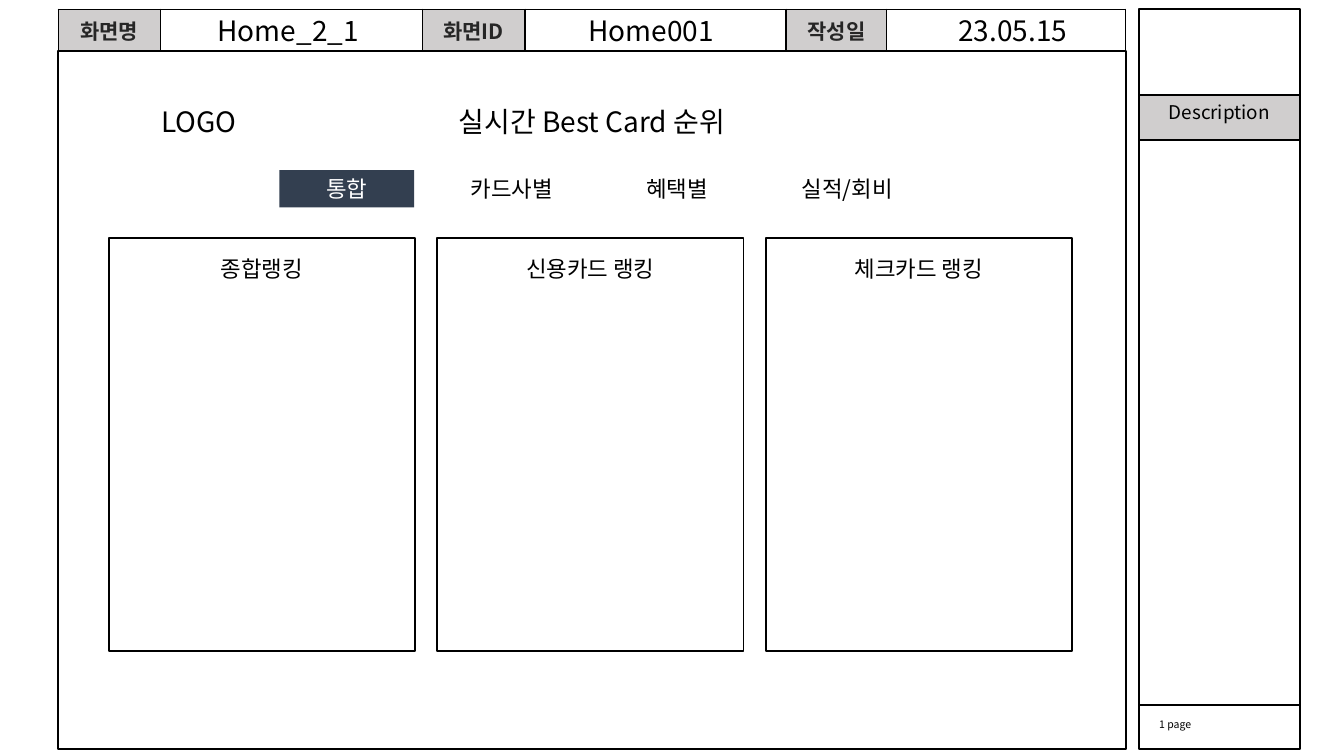
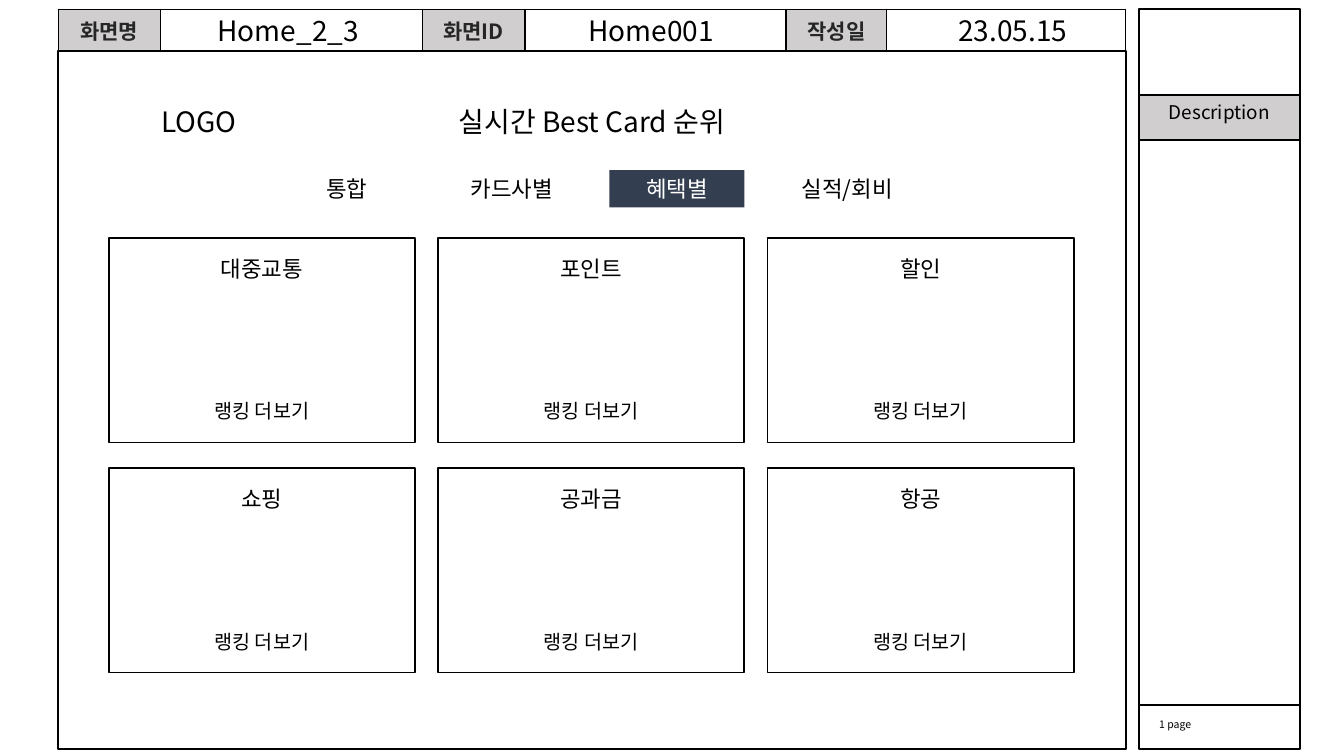
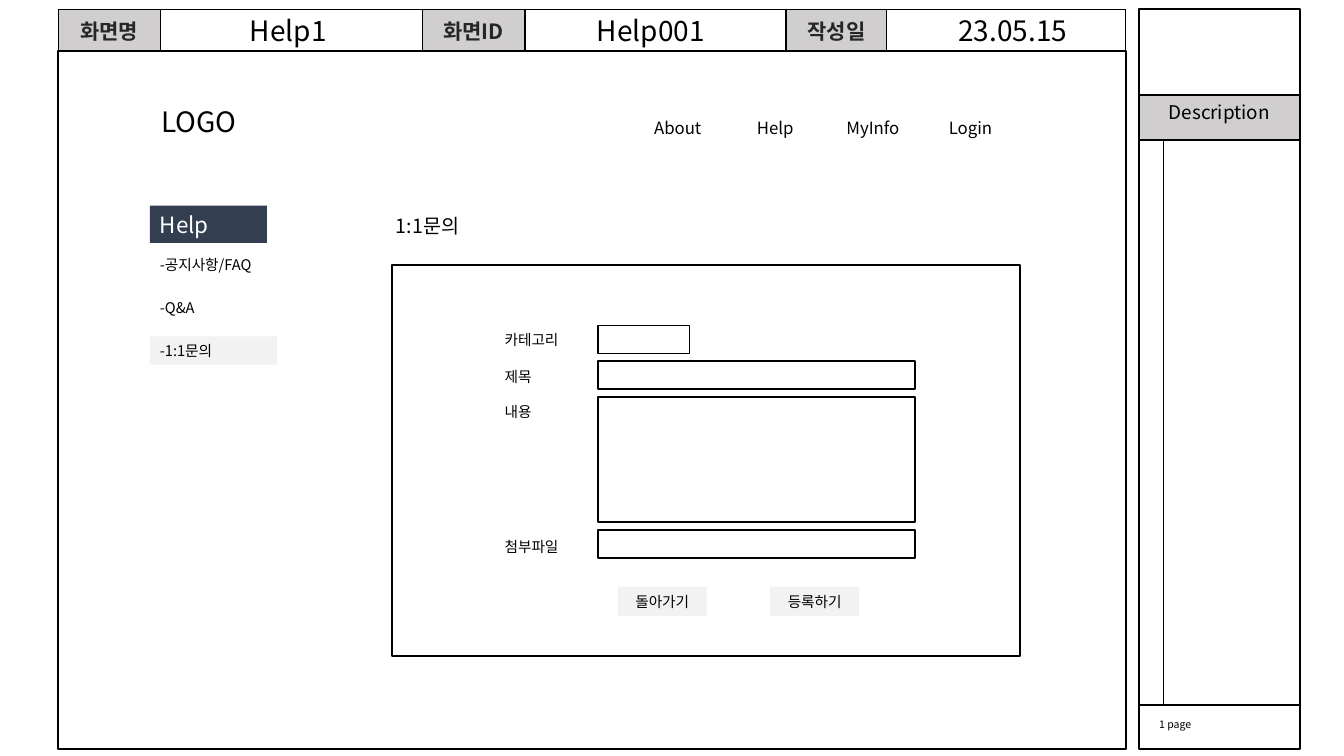
"""Builds three wireframe slides for a card ranking site."""
import pptx
import pptx.util
import pptx.dml.color
import pptx.enum.shapes
import pptx.enum.text
import lxml.etree

Cm = pptx.util.Cm
Pt = pptx.util.Pt
ALIGN = pptx.enum.text.PP_ALIGN
MIDDLE = pptx.enum.text.MSO_ANCHOR.MIDDLE
NS = "{http://schemas.openxmlformats.org/drawingml/2006/main}"
FONT = "Noto Sans CJK KR"
BLACK, WHITE, INK = "000000", "FFFFFF", "262626"
GREY, PALE, NAVY = "D0CECE", "F2F2F2", "333F50"
color = pptx.dml.color.RGBColor.from_string


def write(frame, text, size, ink=BLACK, align=ALIGN.CENTER, bold=False):
    para = frame.paragraphs[0]
    para.alignment = align
    run = para.add_run()
    run.text = text
    run.font.name = FONT
    run.font.size = Pt(size)
    run.font.bold = bold
    run.font.color.rgb = color(ink)
    east = lxml.etree.SubElement(run.font._element, NS + "ea")
    east.set("typeface", FONT)


def box(slide, x, y, wide, high, text="", size=0, fill=None, line=0,
        ink=BLACK, align=ALIGN.CENTER):
    area = Cm(x), Cm(y), Cm(wide), Cm(high)
    if text:
        shape = slide.shapes.add_textbox(*area)
        frame = shape.text_frame
        frame.word_wrap = True
        frame.vertical_anchor = MIDDLE
        frame.margin_top = frame.margin_bottom = 0
        write(frame, text, size, ink, align)
    else:
        kind = pptx.enum.shapes.MSO_SHAPE.RECTANGLE
        shape = slide.shapes.add_shape(kind, *area)
        shape.shadow.inherit = False
    if fill:
        shape.fill.solid()
        shape.fill.fore_color.rgb = color(fill)
    else:
        shape.fill.background()
    if line:
        shape.line.color.rgb = color(BLACK)
        shape.line.width = Pt(line)
    else:
        shape.line.fill.background()


deck = pptx.Presentation()
deck.slide_width = Cm(33.87)
deck.slide_height = Cm(19.05)

heads = ["화면명", "", "화면ID", "", "작성일", ""]
cols = [2.57, 6.6, 2.59, 6.58, 2.54, 6.02]
pages = [("Home_2_1", "Home001"), ("Home_2_3", "Home001"), ("Help1", "Help001")]

for name, code in pages:
    slide = deck.slides.add_slide(deck.slide_layouts[6])
    holder = slide.shapes.add_table(1, 6, Cm(1.47), Cm(0.23), Cm(26.9), Cm(1.07))
    table = holder.table
    table.first_row = table.horz_banding = False
    table.rows[0].height = Cm(1.07)
    for col, (head, wide) in enumerate(zip(heads, cols)):
        table.columns[col].width = Cm(wide)
        cell = table.cell(0, col)
        cell.margin_top = cell.margin_bottom = 0
        cell.vertical_anchor = MIDDLE
        props = cell._tc.get_or_add_tcPr()
        for side in ("lnL", "lnR", "lnT", "lnB"):
            edge = lxml.etree.SubElement(props, NS + side, w="12700")
            solid = lxml.etree.SubElement(edge, NS + "solidFill")
            lxml.etree.SubElement(solid, NS + "srgbClr", val=BLACK)
        if head:
            cell.fill.solid()
            cell.fill.fore_color.rgb = color(GREY)
            write(cell.text_frame, head, 15, INK, bold=True)
        else:
            cell.fill.background()

    box(slide, 1.47, 1.28, 26.9, 17.59, line=1.5)
    top = 0.23
    for high, fill in [(2.17, None), (1.13, GREY), (14.23, None), (1.12, None)]:
        box(slide, 28.7, top, 4.06, high, fill=fill, line=1.5)
        top += high
    box(slide, 29.21, 2.41, 3.18, 0.84, "Description", 13.5, align=ALIGN.LEFT)
    box(slide, 28.96, 17.96, 3.35, 0.58, "1 page", 7.5, align=ALIGN.LEFT)
    for x, text in [(4.47, name), (13.61, code), (22.73, "23.05.15")]:
        box(slide, x, 0.2, 5.59, 1.12, text, 20)
    box(slide, 3.78, 2.49, 2.46, 1.12, "LOGO", 20)

first, second, third = deck.slides

tabs = ["통합", "카드사별", "혜택별", "실적/회비"]
ranks = ["종합랭킹", "신용카드 랭킹", "체크카드 랭킹"]
perks = ["대중교통", "포인트", "할인", "쇼핑", "공과금", "항공"]
views = [(first, 0, ranks, 8.28, 10.41), (second, 2, perks, 8.3, 5.16)]

for slide, active, cards, step, high in views:
    box(slide, 9.65, 2.49, 10.54, 1.12, "실시간 Best Card 순위", 20)
    for spot, tab in enumerate(tabs):
        wide = 3.66 if spot == 3 else 3.4
        fill, ink = (NAVY, WHITE) if spot == active else (None, BLACK)
        box(slide, 7.04 + spot * 4.16, 4.29, wide, 0.94, tab, 16, fill, ink=ink)
    for spot, card in enumerate(cards):
        x = 2.74 + spot % 3 * step
        y = 5.99 + spot // 3 * 5.8
        box(slide, x, y, 7.72, high, line=1.25)
        box(slide, x + 1.88, y + 0.3, 3.96, 0.94, card, 16)
        if slide is second:
            box(slide, x + 2.16, y + 3.94, 3.4, 0.86, "랭킹 더보기", 14)

rule = third.shapes.add_connector(
    pptx.enum.shapes.MSO_CONNECTOR.STRAIGHT, Cm(29.31), Cm(3.53), Cm(29.31), Cm(17.76))
rule.line.color.rgb = color(BLACK)
rule.line.width = Pt(0.5)
lxml.etree.SubElement(rule._element.spPr, NS + "effectLst")

for spot, link in enumerate(["About", "Help", "MyInfo", "Login"]):
    box(third, 15.85 + spot * 2.46, 2.84, 2.46, 0.76, link, 12)

box(third, 3.78, 5.18, 2.95, 0.94, "Help", 16, NAVY, ink=WHITE, align=ALIGN.LEFT)
menu = [("-공지사항/FAQ", None), ("-Q&A", None), ("-1:1문의", PALE)]
for spot, (item, fill) in enumerate(menu):
    box(third, 3.78, 6.32 + spot * 1.08, 3.2, 0.71, item, 10.5, fill, align=ALIGN.LEFT)

box(third, 9.73, 5.26, 4.78, 0.86, "1:1문의", 14, align=ALIGN.LEFT)
box(third, 9.88, 6.68, 15.82, 9.86, line=1.25)
fields = [("카테고리", 8.2, 8.2, 2.31, 0.71), ("제목", 9.12, 9.09, 8, 0.71),
          ("내용", 10.01, 10.01, 8, 3.15), ("첨부파일", 13.41, 13.36, 8, 0.71)]
for label, y, top, wide, high in fields:
    box(third, 12.47, y, 2.24, 0.72, label, 10.5, align=ALIGN.LEFT)
    box(third, 15.07, top, wide, high, line=1.25)
for x, label in [(15.57, "돌아가기"), (19.41, "등록하기")]:
    box(third, x, 14.78, 2.24, 0.74, label, 10.5, PALE)

deck.save("out.pptx")
